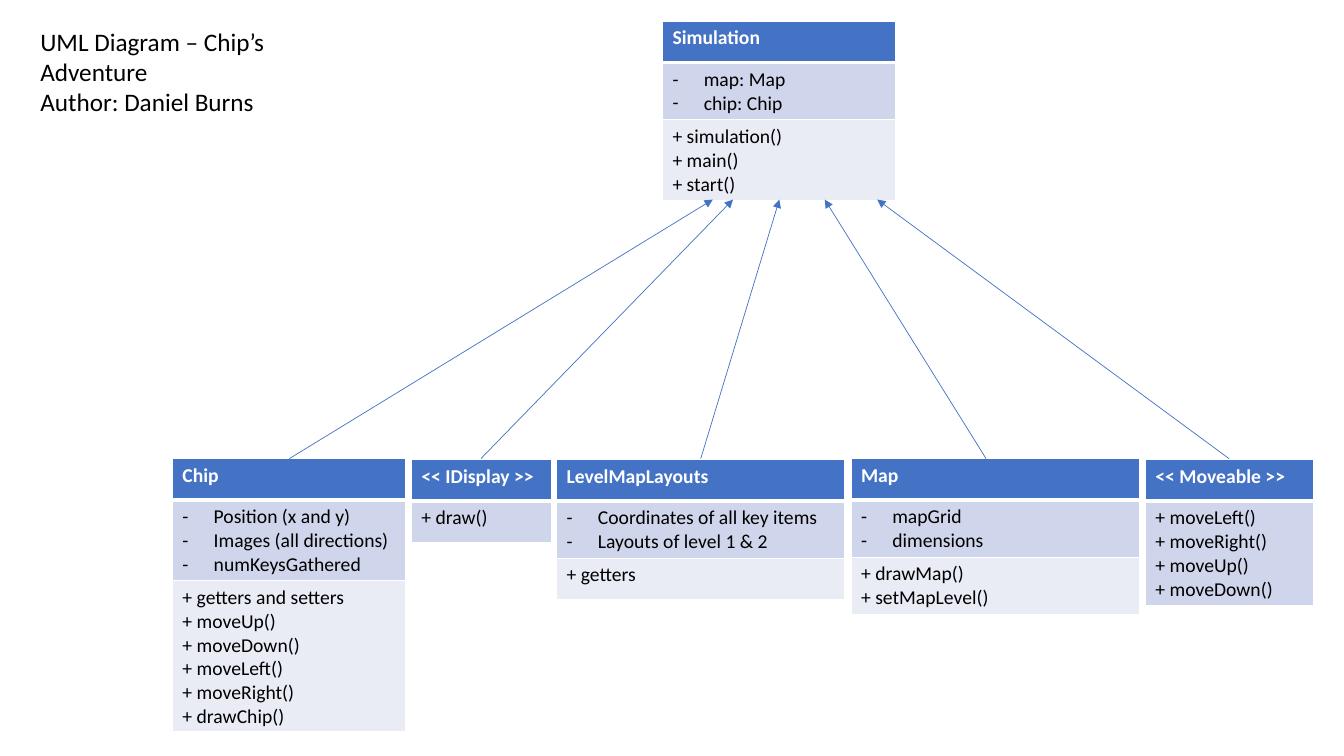
from dataclasses import dataclass

from lxml import etree
from pptx import Presentation
from pptx.dml.color import RGBColor
from pptx.enum.shapes import MSO_CONNECTOR
from pptx.enum.text import MSO_ANCHOR, MSO_AUTO_SIZE, PP_ALIGN
from pptx.oxml.ns import qn
from pptx.util import Emu, Pt

STRAIGHT = MSO_CONNECTOR.STRAIGHT
TOP = MSO_ANCHOR.TOP
LEFT = PP_ALIGN.LEFT
FIT_SHAPE = MSO_AUTO_SIZE.SHAPE_TO_FIT_TEXT

EMU_PER_PX = 9144  # 100 px to the inch
TITLE_ONLY = 5
FONT = "Calibri"
BLUE, PALE_BLUE, PALE_GREY = "4472C4", "CFD5EA", "E9EBF5"
WHITE, BLACK = "FFFFFF", "000000"
ROW_HEIGHT = 41
BULLET_INDENT = 31
ARROW_START_Y, ARROW_END_Y = 455, 198


@dataclass
class UmlClass:
    name: str
    left: int
    top: int
    width: int
    height: int
    methods: list[str]
    fields: list[str] | None = None


@dataclass
class Arrow:
    start_x: int
    end_x: int


CLASSES = [
    UmlClass("Chip", 171, 455, 231, 271,
             ["getters and setters", "moveUp()", "moveDown()", "moveLeft()",
              "moveRight()", "drawChip()"],
             ["Position (x and y)", "Images (all directions)", "numKeysGathered"]),
    UmlClass("<< IDisplay >>", 408, 456, 139, 81, ["draw()"]),
    UmlClass("LevelMapLayouts", 552, 456, 286, 138, ["getters"],
             ["Coordinates of all key items", "Layouts of level 1 & 2"]),
    UmlClass("Map", 844, 455, 286, 154, ["drawMap()", "setMapLevel()"],
             ["mapGrid", "dimensions"]),
    UmlClass("<< Moveable >>", 1136, 456, 167, 144,
             ["moveLeft()", "moveRight()", "moveUp()", "moveDown()"]),
    UmlClass("Simulation", 657, 21, 231, 177,
             ["simulation()", "main()", "start()"], ["map: Map", "chip: Chip"]),
]
ARROWS = [Arrow(287, 707), Arrow(477, 727), Arrow(695, 773),
          Arrow(978, 818), Arrow(1219, 870)]


def px(length: int) -> Emu:
    return Emu(length * EMU_PER_PX)


def rgb(color: str) -> RGBColor:
    return RGBColor.from_string(color)


def add_run(paragraph, text: str, size: int, color: str, bold: bool = False) -> None:
    run = paragraph.add_run()
    run.text = text
    run.font.name = FONT
    run.font.size = Pt(size)
    run.font.bold = bold
    run.font.color.rgb = rgb(color)


def add_dash(paragraph) -> None:
    properties = paragraph._p.get_or_add_pPr()
    properties.set("marL", str(px(BULLET_INDENT)))
    properties.set("indent", str(px(-BULLET_INDENT)))
    etree.SubElement(properties, qn("a:buFont"), typeface=FONT)
    etree.SubElement(properties, qn("a:buChar"), char="-")


def add_borders(cell, bottom_width: int) -> None:
    properties = cell._tc.get_or_add_tcPr()
    for side, width in (("L", 1), ("R", 1), ("T", 1), ("B", bottom_width)):
        border = etree.SubElement(properties, qn(f"a:ln{side}"), w=str(Pt(width)))
        fill = etree.SubElement(border, qn("a:solidFill"))
        etree.SubElement(fill, qn("a:srgbClr"), val=WHITE)


def fill_cell(cell, lines: list[str], fill: str, header: bool = False,
              dashed: bool = False) -> None:
    add_borders(cell, 3 if header else 1)
    cell.fill.solid()
    cell.fill.fore_color.rgb = rgb(fill)
    frame = cell.text_frame
    for index, line in enumerate(lines):
        paragraph = frame.add_paragraph() if index else frame.paragraphs[0]
        if dashed:
            add_dash(paragraph)
        add_run(paragraph, line, 14, WHITE if header else BLACK, header)


def add_class(slide, uml: UmlClass) -> None:
    row_count = 3 if uml.fields else 2
    frame = slide.shapes.add_table(row_count, 1, px(uml.left), px(uml.top),
                                   px(uml.width), px(uml.height))
    table = frame.table
    for row in table.rows:
        row.height = px(ROW_HEIGHT)
    frame.height = px(uml.height)

    fill_cell(table.cell(0, 0), [uml.name], BLUE, header=True)
    if uml.fields:
        fill_cell(table.cell(1, 0), uml.fields, PALE_BLUE, dashed=True)
    fill_cell(table.cell(row_count - 1, 0), [f"+ {name}" for name in uml.methods],
              PALE_GREY if uml.fields else PALE_BLUE)


def add_arrow(slide, arrow: Arrow) -> None:
    connector = slide.shapes.add_connector(
        STRAIGHT, px(arrow.start_x), px(ARROW_START_Y),
        px(arrow.end_x), px(ARROW_END_Y))
    connector.line.color.rgb = rgb(BLUE)
    connector.line.width = Pt(0.5)
    etree.SubElement(connector.line._get_or_add_ln(), qn("a:tailEnd"), type="triangle")
    etree.SubElement(connector._element.spPr, qn("a:effectLst"))


def add_heading(slide, lines: list[str]) -> None:
    title = slide.shapes.title
    title.left, title.top, title.width, title.height = map(px, (30, 21, 352, 71))
    frame = title.text_frame
    frame.word_wrap = False
    frame.auto_size = FIT_SHAPE
    frame.vertical_anchor = TOP
    for index, line in enumerate(lines):
        paragraph = frame.add_paragraph() if index else frame.paragraphs[0]
        paragraph.alignment = LEFT
        paragraph.line_spacing = 1.0
        paragraph.space_before = Pt(0)
        add_run(paragraph, line, 18, BLACK)


def main() -> None:
    presentation = Presentation()
    presentation.slide_width, presentation.slide_height = px(1333), px(750)
    slide = presentation.slides.add_slide(presentation.slide_layouts[TITLE_ONLY])
    add_heading(slide, ["UML Diagram – Chip’s Adventure", "Author: Daniel Burns"])
    for uml in CLASSES:
        add_class(slide, uml)
    for arrow in ARROWS:
        add_arrow(slide, arrow)
    presentation.save("out.pptx")


if __name__ == "__main__":
    main()
